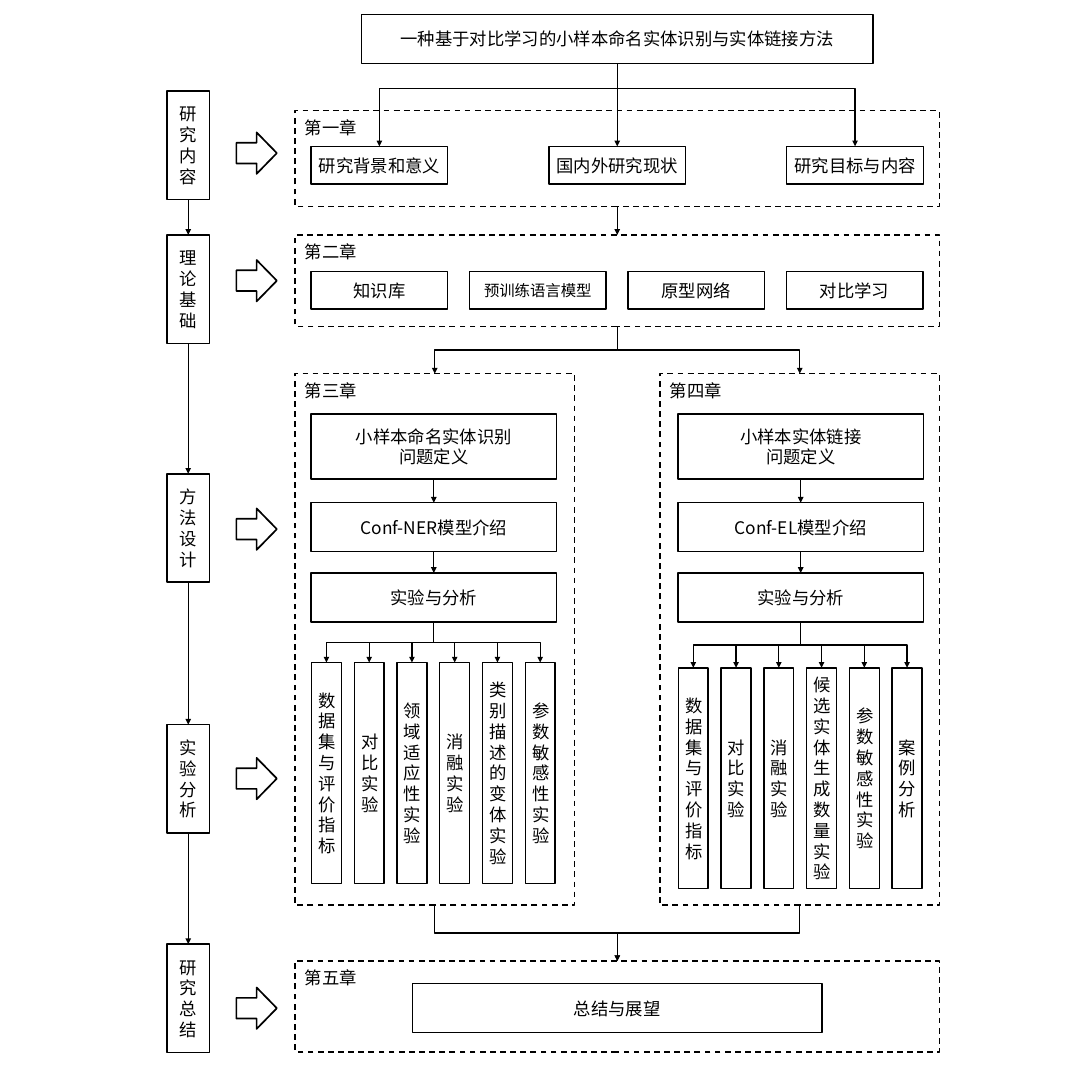
from dataclasses import dataclass

from lxml import etree
from pptx import Presentation
from pptx.dml.color import RGBColor
from pptx.enum.dml import MSO_LINE
from pptx.enum.shapes import MSO_CONNECTOR, MSO_SHAPE
from pptx.enum.text import MSO_ANCHOR, PP_ALIGN
from pptx.oxml.ns import qn
from pptx.util import Pt

RECT, ARROW = MSO_SHAPE.RECTANGLE, MSO_SHAPE.RIGHT_ARROW
DASH = MSO_LINE.DASH
LINE, ELBOW = MSO_CONNECTOR.STRAIGHT, MSO_CONNECTOR.ELBOW
CENTER, LEFT = PP_ALIGN.CENTER, PP_ALIGN.LEFT
MIDDLE, TOP = MSO_ANCHOR.MIDDLE, MSO_ANCHOR.TOP
BOTTOM_SIDE, TOP_SIDE = 2, 0


@dataclass
class Theme:
    ink: RGBColor = RGBColor(0, 0, 0)
    paper: RGBColor = RGBColor(255, 255, 255)
    face: str = "Noto Sans CJK SC"
    body: float = 18
    small: float = 16
    edge: float = 1.5
    block: float = 1.75
    wire: float = 1.25


theme = Theme()
boxed = {"word_wrap": True, "vertical_anchor": MIDDLE}
label = {"word_wrap": False, "vertical_anchor": TOP}

prs = Presentation()
prs.slide_width = prs.slide_height = Pt(1134)
slide = prs.slides.add_slide(prs.slide_layouts[6])
shapes = slide.shapes


def box(text, x, y, w, h, kind=RECT, size=theme.body, edge=theme.edge,
        form=boxed, align=CENTER):
    place = [Pt(v) for v in (x, y, w, h)]
    if kind is None:
        item = shapes.add_textbox(*place)
    else:
        item = shapes.add_shape(kind, *place)
        item.shadow.inherit = False
        item.fill.solid()
        item.fill.fore_color.rgb = theme.paper
        item.line.color.rgb = theme.ink
        item.line.width = Pt(edge)
    if text:
        frame = item.text_frame
        frame.text = text
        for key, value in form.items():
            setattr(frame, key, value)
        for para in frame.paragraphs:
            para.alignment = align
            for run in para.runs:
                font = run.font
                font.size = Pt(size)
                font.color.rgb = theme.ink
                font.name = theme.face
                east = etree.SubElement(run._r.get_or_add_rPr(), qn("a:ea"))
                east.set("typeface", theme.face)
    return item


def link(start, end, bend=None):
    wire = shapes.add_connector(ELBOW if bend else LINE, 0, 0, 0, 0)
    wire.begin_connect(start, BOTTOM_SIDE)
    wire.end_connect(end, TOP_SIDE)
    props = wire.element.spPr
    if bend:
        x1, y1, x2, y2 = wire.begin_x, wire.begin_y, wire.end_x, wire.end_y
        long, wide = y2 - y1, abs(x2 - x1)
        wire.left, wire.top = (x1 + x2 - long) // 2, (y1 + y2 - wide) // 2
        wire.width, wire.height = long, wide
        turn = props.get_or_add_xfrm()
        turn.rot = 270 if x2 > x1 else 90
        turn.flipH, turn.flipV = x2 > x1, False
        guide = etree.SubElement(props.find(".//" + qn("a:avLst")), qn("a:gd"))
        guide.set("name", "adj1")
        guide.set("fmla", f"val {round(bend * 100000)}")
    wire.line.color.rgb = theme.ink
    wire.line.width = Pt(theme.wire)
    etree.SubElement(wire.line._get_or_add_ln(), qn("a:tailEnd")).set("type", "triangle")
    etree.SubElement(props, qn("a:effectLst"))


parts = []
for name, x, y, w, h in [
    ("第一章", 306.5, 115, 669, 99.5),
    ("第二章", 306.5, 244, 669, 95),
    ("第三章", 306.5, 388, 290, 552),
    ("第四章", 685.5, 388, 290, 552),
    ("第五章", 306.5, 998, 669, 94.5),
]:
    part = box("", x, y, w, h)
    part.line.dash_style = DASH
    parts.append(part)
    box(name, x + 3, y + 3, 69, 32, kind=None, form=label, align=LEFT)
one, two, three, four, five = parts

title = box("一种基于对比学习的小样本命名实体识别与实体链接方法", 375.5, 15, 531, 51)
for i, text in enumerate(["研究背景和意义", "国内外研究现状", "研究目标与内容"]):
    topic = box(text, 323 + 247 * i, 152, 142, 39)
    link(title, topic, None if i == 1 else 0.3)

for i, (text, size) in enumerate([
    ("知识库", theme.body),
    ("预训练语言模型", theme.small),
    ("原型网络", theme.body),
    ("对比学习", theme.body),
]):
    box(text, 323 + 164.5 * i, 282, 142, 39, size=size)

for x, y, goal, model, tests in [
    (323, 688, "小样本命名实体识别\n问题定义", "Conf-NER模型介绍",
     ["数据集与评价指标", "对比实验", "领域适应性实验", "消融实验",
      "类别描述的变体实验", "参数敏感性实验"]),
    (704, 693.5, "小样本实体链接\n问题定义", "Conf-EL模型介绍",
     ["数据集与评价指标", "对比实验", "消融实验", "候选实体生成数量实验",
      "参数敏感性实验", "案例分析"]),
]:
    task = box(goal, x, 430, 255, 67.5)
    design = box(model, x, 522, 255, 51)
    trial = box("实验与分析", x, 595, 255, 51)
    link(task, design)
    link(design, trial)
    for i, text in enumerate(tests):
        link(trial, box(text, x + 0.5 + 44.4 * i, y, 31, 229.5), 0.5)

box("总结与展望", 428.5, 1021.5, 425, 51)

last = None
for text, y, mid in [
    ("研究内容", 94.5, 159),
    ("理论基础", 244, 291.5),
    ("方法设计", 492, 549.5),
    ("实验分析", 752.5, 808.5),
    ("研究总结", 980.5, 1047),
]:
    stage = box(text, 173.5, y, 44, 112.5)
    box("", 245.5, mid - 21.5, 42, 43, kind=ARROW, edge=theme.block)
    if last:
        link(last, stage)
    last = stage

link(one, two)
for branch in (three, four):
    link(two, branch, 0.5)
    link(branch, five, 0.5)

prs.save("out.pptx")
